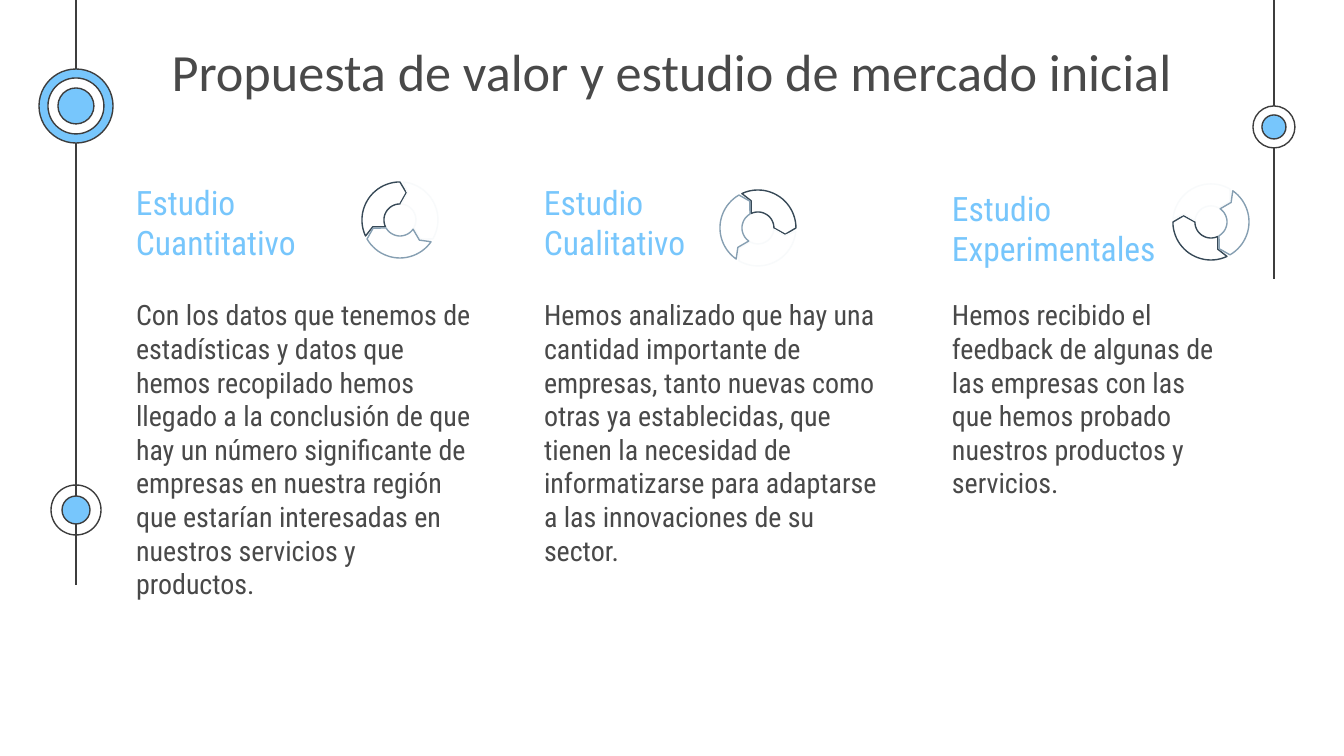
import math

from lxml import etree
from pptx import Presentation
from pptx.dml.color import RGBColor
from pptx.enum.shapes import MSO_CONNECTOR, MSO_SHAPE
from pptx.enum.text import MSO_ANCHOR, MSO_AUTO_SIZE, PP_ALIGN
from pptx.oxml.ns import qn
from pptx.util import Pt

PX = 914400 * 10 / 1344  # the slide is 1344 px wide
STRAIGHT = MSO_CONNECTOR.STRAIGHT
OVAL = MSO_SHAPE.OVAL
TOP = MSO_ANCHOR.TOP
NO_FIT = MSO_AUTO_SIZE.NONE
LEFT, CENTER = PP_ALIGN.LEFT, PP_ALIGN.CENTER

COLORS = {
    "line": "3D3D3D", "sky": "77C6FC", "white": "FFFFFF", "text": "494949",
    "navy": "374957", "pale": "F8FAFB", "steel": "869FB2",
}
COLORS = {name: RGBColor.from_string(value) for name, value in COLORS.items()}


def emu(*px):
    return [round(v * PX) for v in px]


def write(sp, box, text, size, font, color, align=LEFT):
    """Place a text shape and format every run in it."""
    sp.left, sp.top, sp.width, sp.height = emu(*box)
    tf = sp.text_frame
    tf.text = text
    tf.word_wrap = True
    tf.auto_size = NO_FIT
    tf.vertical_anchor = TOP
    tf.margin_left, tf.margin_top, tf.margin_right, tf.margin_bottom = emu(13, 13, 13, 13)
    for p in tf.paragraphs:
        p.alignment = align
        for r in p.runs:
            r.font.size = Pt(size)
            r.font.name = font
            r.font.color.rgb = COLORS[color]


prs = Presentation()
prs.slide_width, prs.slide_height = emu(1344, 756)
s = prs.slides.add_slide(prs.slide_layouts[5])

write(s.shapes.title, (138, 26, 1067, 87),
      "Propuesta de valor y estudio de mercado inicial", 28, "Calibri", "text", CENTER)

# Side lines
for x, bottom in ((76, 585), (1274, 279)):
    line = s.shapes.add_connector(STRAIGHT, *emu(x, 0, x, bottom))
    line.line.color.rgb = COLORS["line"]
    line.line.width = Pt(0.75)
    etree.SubElement(line._element.spPr, qn("a:effectLst"))

# Concentric circles on the side lines: centre, then diameter and fill of each
targets = [
    (76, 510, ((50, None), (28, "sky"))),
    (1274, 127, ((42, "white"), (24, "sky"))),
    (76, 106, ((74, "sky"), (56, "white"), (36, "sky"))),
]
for cx, cy, circles in targets:
    for d, fill in circles:
        sp = s.shapes.add_shape(OVAL, *emu(cx - d / 2, cy - d / 2, d, d))
        sp.shadow.inherit = False
        sp.line.color.rgb = COLORS["line"]
        sp.line.width = Pt(0.75)
        if fill:
            sp.fill.solid()
            sp.fill.fore_color.rgb = COLORS[fill]
        else:
            sp.fill.background()

# Cycle icons: three arrow segments, each a third of a turn after the last
OUTER, MIDDLE, INNER = 38, 28, 16
arc = range(-90, -206, -5)
segment = [(OUTER, a) for a in arc]
segment += [(MIDDLE, -194)]
segment += [(INNER, a) for a in reversed(arc)]
segment += [(MIDDLE, -77)]
for cx, cy, turn in ((400, 220, 0), (758, 228, 90), (1211, 222, 270)):
    for i, color in enumerate(("navy", "pale", "steel")):
        points = []
        for radius, angle in segment:
            a = math.radians(angle + turn + 120 * i)
            points.append(emu(cx + radius * math.cos(a), cy + radius * math.sin(a)))
        builder = s.shapes.build_freeform(*points[0])
        builder.add_line_segments(points[1:], close=True)
        sp = builder.convert_to_shape()
        sp.shadow.inherit = False
        sp.fill.background()
        sp.line.color.rgb = COLORS[color]
        sp.line.width = Pt(0.75)

# Studies: heading top, body width and height, heading, body
studies = [
    (169, 366, 302, "Estudio\nCuantitativo",
     "Con los datos que tenemos de estadísticas y datos que hemos recopilado hemos "
     "llegado a la conclusión de que hay un número significante de empresas en nuestra "
     "región que estarían interesadas en nuestros servicios y productos."),
    (169, 366, 282, "Estudio\nCualitativo",
     "Hemos analizado que hay una cantidad importante de empresas, tanto nuevas como "
     "otras ya establecidas, que tienen la necesidad de informatizarse para adaptarse "
     "a las innovaciones de su sector."),
    (175, 305, 190, "Estudio\nExperimentales",
     "Hemos recibido el feedback de algunas de las empresas con las que hemos probado "
     "nuestros productos y servicios."),
]
for i, (top, width, height, heading, body) in enumerate(studies):
    x = 123 + 408 * i
    for box, text, size, color in (
        ((x, top, 305, 101), heading, 18, "sky"),
        ((x, 285, width, height), body, 15, "text"),
    ):
        sp = s.shapes.add_textbox(0, 0, 0, 0)
        write(sp, box, text, size, "Roboto Condensed", color)

prs.save("out.pptx")
